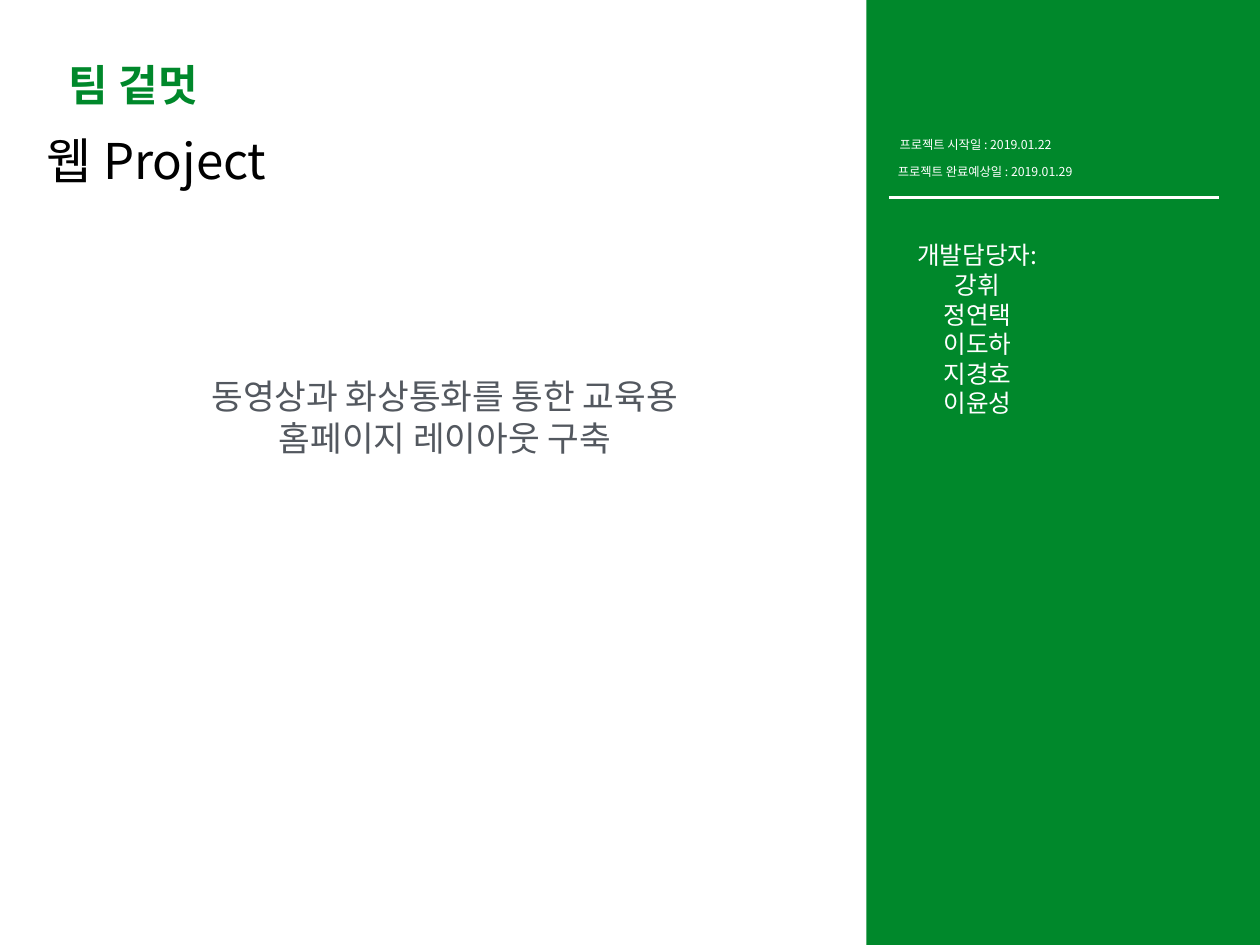
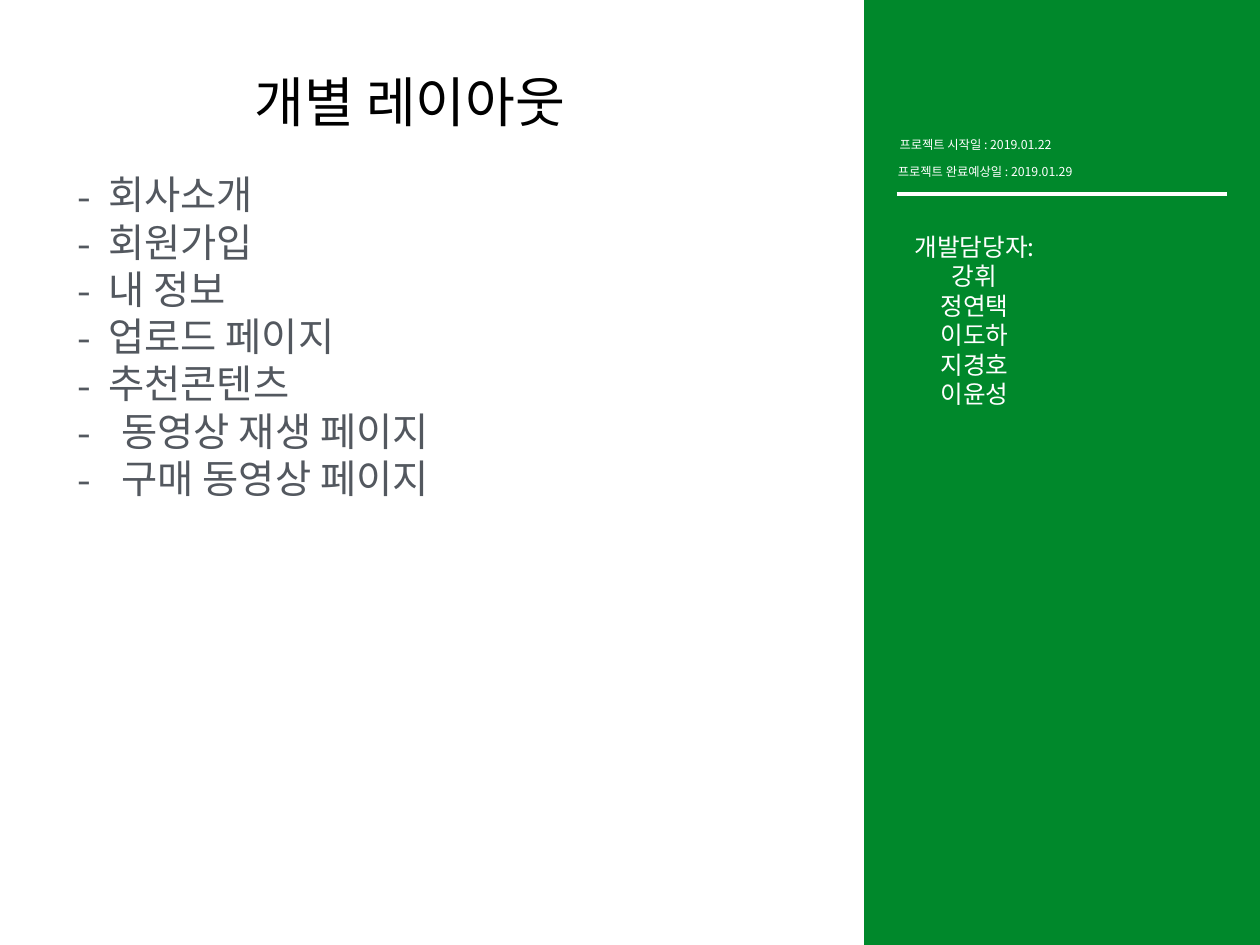
"""Build a two-slide project introduction with a shared green sidebar."""
from lxml.etree import SubElement
from pptx import Presentation
from pptx.dml.color import RGBColor
from pptx.enum.shapes import MSO_CONNECTOR as Connector, MSO_SHAPE as Preset
from pptx.enum.text import MSO_ANCHOR as Anchor, MSO_AUTO_SIZE as AutoSize, PP_ALIGN as Align
from pptx.oxml.ns import qn
from pptx.util import Cm, Pt

SLIDE_WIDTH, SLIDE_HEIGHT = 36.12, 27.1
FONT = "Noto Sans CJK KR"
COLORS = {"green": "00882B", "white": "FFFFFF", "black": "000000", "gray": "53585F"}
TEAM = ["개발담당자:", "강휘", "정연택", "이도하", "지경호", "이윤성"]


class Deck:
    def __init__(self):
        self.presentation = Presentation()
        self.presentation.slide_width = Cm(SLIDE_WIDTH)
        self.presentation.slide_height = Cm(SLIDE_HEIGHT)
        self.slide = None

    def color(self, name):
        return RGBColor.from_string(COLORS[name])

    def add_slide(self):
        self.slide = self.presentation.slides.add_slide(self.presentation.slide_layouts[6])

    def band(self, left):
        shape = self.slide.shapes.add_shape(
            Preset.RECTANGLE, Cm(left), 0, Cm(SLIDE_WIDTH - left), Cm(SLIDE_HEIGHT))
        shape.shadow.inherit = False
        shape.fill.solid()
        shape.fill.fore_color.rgb = self.color("green")
        shape.line.fill.background()

    def rule(self, left, top, length=9.47):
        line = self.slide.shapes.add_connector(
            Connector.STRAIGHT, Cm(left), Cm(top), Cm(left + length), Cm(top))
        line.line.color.rgb = self.color("white")
        line.line.width = Pt(3)
        SubElement(line._element.spPr, qn("a:effectLst"))

    def text(self, lines, box, size, color, bold=False, wrap=False,
             align=Align.CENTER, anchor=Anchor.MIDDLE):
        shape = self.slide.shapes.add_textbox(*map(Cm, box))
        frame = shape.text_frame
        frame.text = "\n".join(lines)
        frame.word_wrap = wrap
        frame.auto_size = AutoSize.SHAPE_TO_FIT_TEXT
        frame.vertical_anchor = anchor
        frame.margin_left = frame.margin_right = Cm(0.15)
        frame.margin_top = frame.margin_bottom = Cm(0.15)
        for paragraph in frame.paragraphs:
            paragraph.alignment = align
            for run in paragraph.runs:
                font = run.font
                font.name, font.size, font.bold = FONT, Pt(size), bold
                font.color.rgb = self.color(color)
                SubElement(font._element, qn("a:ea"), typeface=FONT)
        return frame.paragraphs

    def dash_list(self, items, box, size, color):
        paragraphs = self.text([label for label, _ in items], box, size, color, align=Align.LEFT)
        for paragraph, (_, indent) in zip(paragraphs, items):
            properties = paragraph._p.get_or_add_pPr()
            properties.set("marL", str(Cm(indent)))
            properties.set("indent", str(-Cm(indent)))
            SubElement(properties, qn("a:buFont"), typeface=FONT)
            SubElement(properties, qn("a:buChar"), char="-")

    def sidebar(self, band_left, rule_at, team_at):
        self.band(band_left)
        self.text(["프로젝트 시작일 : 2019.01.22"], (25.4, 3.78, 5.13, 0.71), 10, "white")
        self.text(["프로젝트 완료예상일 : 2019.01.29"], (25.32, 4.57, 5.84, 0.71), 10, "white")
        self.rule(*rule_at)
        self.text(TEAM, (*team_at, 4.42, 5.41), 20, "white", wrap=True)

    def title(self, label, box, size):
        self.text([label], box, size, "black")


def main():
    deck = Deck()

    deck.add_slide()
    deck.sidebar(24.84, (25.48, 5.66), (25.81, 6.73))
    deck.text(["팀 겉멋"], (0.08, 1.52, 7.49, 1.78), 35, "green", bold=True, wrap=True)
    deck.title("웹 Project", (0.64, 3.58, 7.7, 2), 40)
    deck.text(["동영상과 화상통화를 통한 교육용", "홈페이지 레이아웃 구축"],
              (4.95, 10.62, 15.6, 3.89), 28, "gray", anchor=Anchor.TOP)

    deck.add_slide()
    deck.sidebar(24.77, (25.7, 5.56), (25.73, 6.48))
    deck.title("개별 레이아웃", (6.65, 1.8, 10.21, 2.16), 44)
    pages = ["회사소개", "회원가입", "내 정보", "업로드 페이지", "추천콘텐츠"]
    video_pages = ["동영상 재생 페이지", "구매 동영상 페이지"]
    items = [(page, 0.89) for page in pages] + [(page, 1.27) for page in video_pages]
    deck.dash_list(items, (2.06, 4.7, 11.46, 9.86), 32, "gray")

    deck.presentation.save("out.pptx")


if __name__ == "__main__":
    main()
